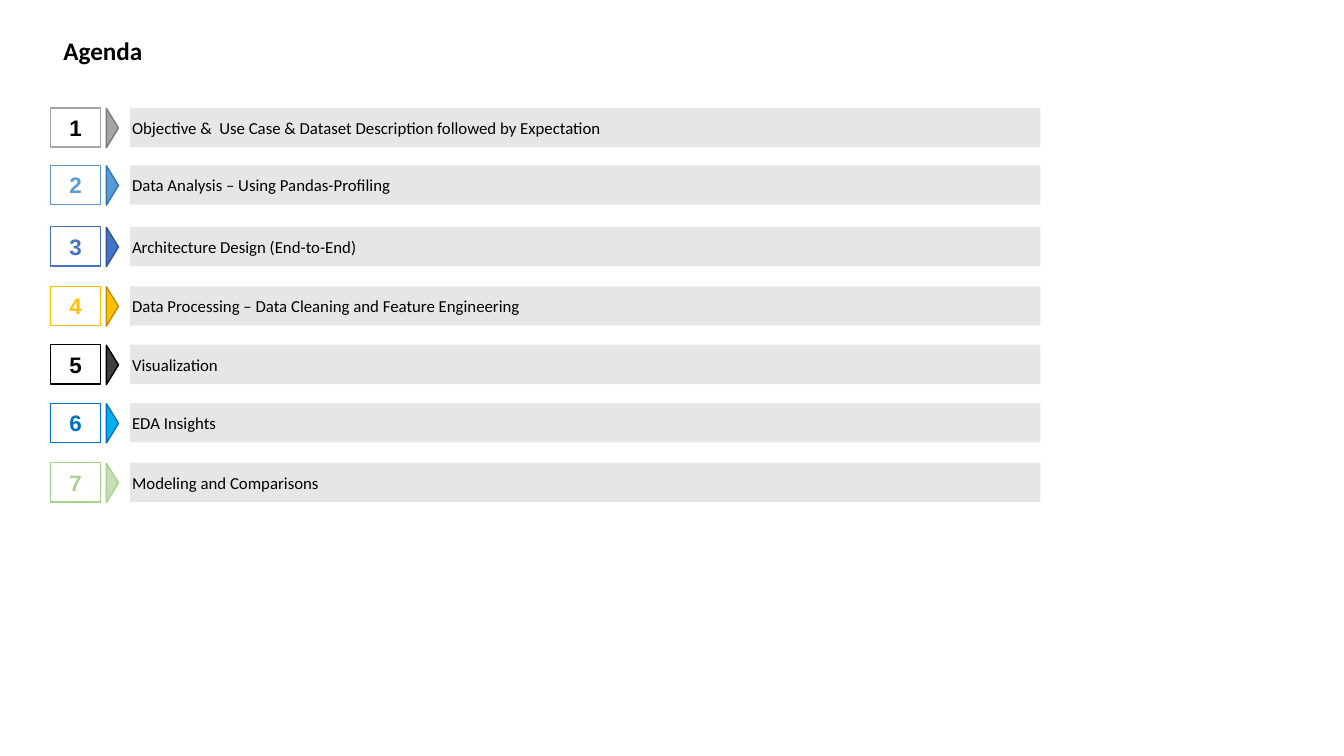
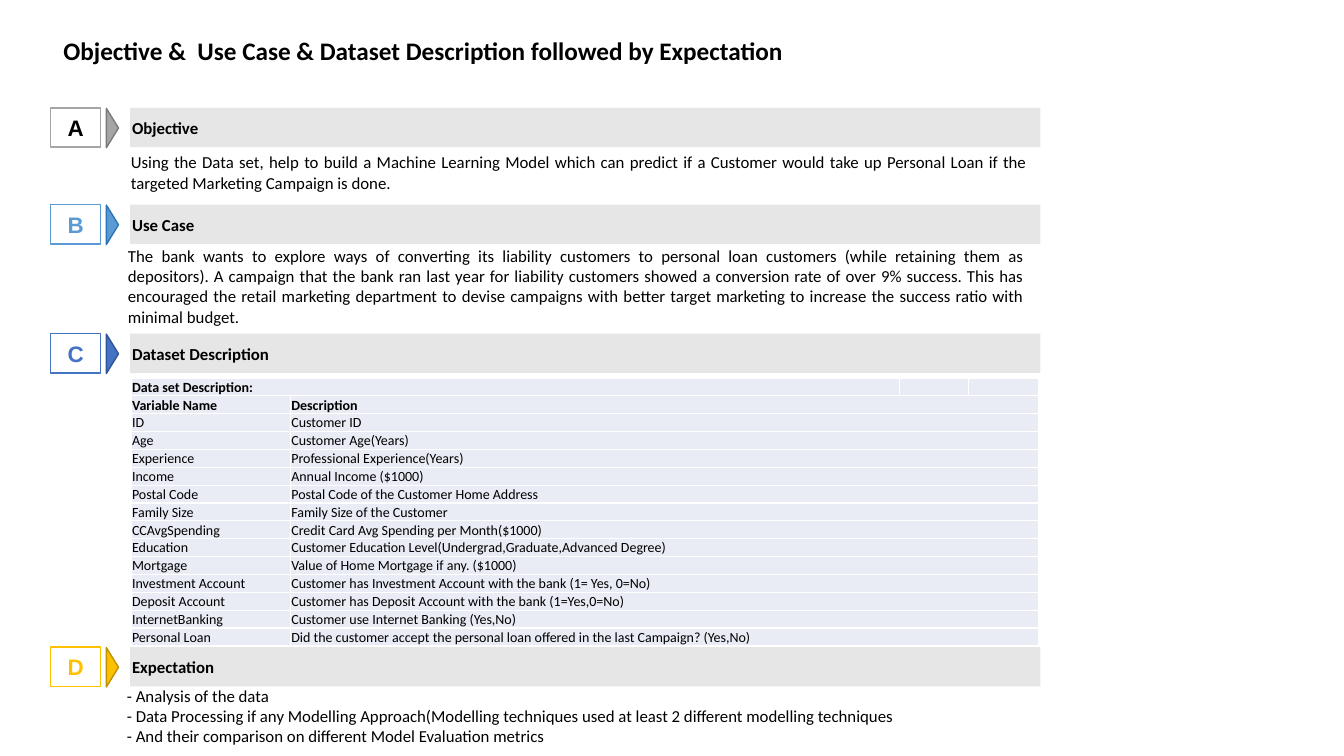
from lxml.etree import SubElement, Element
from pptx import Presentation
from pptx.dml.color import RGBColor as Rgb
from pptx.enum.shapes import MSO_SHAPE as Shp
from pptx.enum.text import MSO_ANCHOR as Anc, PP_ALIGN as Al
from pptx.oxml.ns import qn
from pptx.util import Inches, Pt

HUE = {
    "ink": "000000", "white": "FFFFFF", "bar": "E7E6E6", "cell": "E9EBF5",
    "gray": "A5A5A5", "iron": "7A7A7A", "sky": "5B9BD5", "steel": "2E75B6",
    "blue": "4472C4", "navy": "2F5597", "gold": "FFC000", "ochre": "BF9000",
    "coal": "404040", "sea": "0070C0", "aqua": "00B0F0",
    "leaf": "A9D18E", "mint": "C5E0B4",
}

# Frame, label, arrow fill, arrow edge
TONES = [
    ("gray", "ink", "gray", "iron"),
    ("sky", "sky", "sky", "steel"),
    ("blue", "blue", "blue", "navy"),
    ("gold", "gold", "gold", "ochre"),
    ("ink", "ink", "coal", "ink"),
    ("sea", "sea", "aqua", "sea"),
    ("leaf", "leaf", "mint", "leaf"),
]

TOPIC = "Objective &  Use Case & Dataset Description followed by Expectation"

AGENDA = [
    ("1", 1.07, TOPIC),
    ("2", 1.64, "Data Analysis – Using Pandas-Profiling"),
    ("3", 2.25, "Architecture Design (End-to-End)"),
    ("4", 2.84, "Data Processing – Data Cleaning and Feature Engineering"),
    ("5", 3.42, "Visualization"),
    ("6", 4, "EDA Insights"),
    ("7", 4.59, "Modeling and Comparisons"),
]

PARTS = [
    ("A", 1.07, "Objective"),
    ("B", 2.03, "Use Case"),
    ("C", 3.31, "Dataset Description"),
    ("D", 6.42, "Expectation"),
]

NOTES = [
    (1.2, 1.46, 0.5, [
        "Using the Data set, help to build a Machine Learning Model which can "
        "predict if a Customer would take up Personal Loan if the targeted "
        "Marketing Campaign is done."]),
    (1.17, 2.39, 0.91, [
        "The bank wants to explore ways of converting its liability customers "
        "to personal loan customers (while retaining them as depositors). A "
        "campaign that the bank ran last year for liability customers showed a "
        "conversion rate of over 9% success. This has encouraged the retail "
        "marketing department to devise campaigns with better target marketing "
        "to increase the success ratio with minimal budget."]),
    (1.16, 6.75, 0.71, [
        "- Analysis of the data",
        "- Data Processing if any Modelling Approach(Modelling techniques used "
        "at least 2 different modelling techniques",
        "- And their comparison on different Model Evaluation metrics"]),
]

FIELDS = [
    ("Data set Description:", ""),
    ("Variable Name", "Description"),
    ("ID", "Customer ID"),
    ("Age", "Customer Age(Years)"),
    ("Experience", "Professional Experience(Years)"),
    ("Income", "Annual Income ($1000)"),
    ("Postal Code", "Postal Code of the Customer Home Address"),
    ("Family Size", "Family Size of the Customer"),
    ("CCAvgSpending", "Credit Card Avg Spending per Month($1000)"),
    ("Education", "Customer Education Level(Undergrad,Graduate,Advanced Degree)"),
    ("Mortgage", "Value of Home Mortgage if any. ($1000)"),
    ("Investment Account",
     "Customer has Investment Account with the bank (1= Yes, 0=No)"),
    ("Deposit Account", "Customer has Deposit Account with the bank (1=Yes,0=No)"),
    ("InternetBanking", "Customer use Internet Banking (Yes,No)"),
    ("Personal Loan",
     "Did the customer accept the personal loan offered in the last Campaign? "
     "(Yes,No)"),
]
COLS = [1.58, 6.04, 0.69, 0.69]
TALL = 0.39


def tint(name):
    return Rgb.from_string(HUE[name])


def write(para, text, size, bold=False, hue="ink", face="Calibri", align=Al.LEFT):
    para.alignment = align
    run = para.add_run()
    run.text = text
    font = run.font
    font.name, font.size, font.bold = face, Pt(size), bold
    font.color.rgb = tint(hue)


def pad(item, left, top, right, low):
    item.margin_left, item.margin_top = Inches(left), Inches(top)
    item.margin_right, item.margin_bottom = Inches(right), Inches(low)


def block(slide, kind, box, fill, edge=None):
    shape = slide.shapes.add_shape(kind, *map(Inches, box))
    shape.shadow.inherit = False
    shape.fill.solid()
    shape.fill.fore_color.rgb = tint(fill)
    if edge:
        shape.line.color.rgb = tint(edge)
        shape.line.width = Pt(1)
    else:
        shape.line.fill.background()
    return shape


def label(shape, inset, text, size, **look):
    frame = shape.text_frame
    frame.word_wrap = True
    frame.vertical_anchor = Anc.MIDDLE
    pad(frame, *inset)
    write(frame.paragraphs[0], text, size, **look)


def band(slide, mark, top, text, tone, bold):
    frame, ink, fill, edge = tone
    bar = block(slide, Shp.RECTANGLE, (1.29, top, 9.03, TALL), "bar")
    label(bar, (0.02, 0.05, 0.02, 0.05), text, 12, bold=bold)
    tag = block(slide, Shp.RECTANGLE, (0.5, top, 0.5, TALL), "white", frame)
    label(tag, (0.04,) * 4, mark, 16, bold=True, hue=ink, face="Arial",
          align=Al.CENTER)
    arrow = block(slide, Shp.ISOSCELES_TRIANGLE,
                  (0.92, top + 0.14, TALL, 0.12), fill, edge)
    arrow.rotation = 90


def prose(slide, box, lines, size, **look):
    frame = slide.shapes.add_textbox(*map(Inches, box)).text_frame
    frame.word_wrap = True
    for i, line in enumerate(lines):
        para = frame.add_paragraph() if i else frame.paragraphs[0]
        write(para, line, size, **look)


def page(deck, title, rows, bold):
    slide = deck.slides.add_slide(deck.slide_layouts[6])
    for row, tone in zip(rows, TONES):
        band(slide, *row, tone, bold)
    prose(slide, (0.53, 0.3, 9.77, 0.42), [title], 18, bold=True)
    return slide


def rule(cell):
    props = cell._tc.get_or_add_tcPr()
    for i, side in enumerate(("lnL", "lnR", "lnT", "lnB")):
        line = Element(qn("a:" + side), w=str(Pt(1)))
        fill = SubElement(line, qn("a:solidFill"))
        SubElement(fill, qn("a:srgbClr"), val=HUE["white"])
        props.insert(i, line)


def grid(slide):
    high = Inches(2.6)
    table = slide.shapes.add_table(
        len(FIELDS), len(COLS), Inches(1.3), Inches(3.75),
        Inches(sum(COLS)), high).table
    table.first_row = table.horz_banding = False
    for col, width in zip(table.columns, COLS):
        col.width = Inches(width)
    for r, texts in enumerate(FIELDS):
        table.rows[r].height = high // len(FIELDS)
        for c in range(len(COLS)):
            cell = table.cell(r, c)
            cell.fill.solid()
            cell.fill.fore_color.rgb = tint("cell")
            rule(cell)
            pad(cell, 0.01, 0.01, 0.01, 0)
            cell.vertical_anchor = Anc.BOTTOM
            para = cell.text_frame.paragraphs[0]
            if c < len(texts) and texts[c]:
                write(para, texts[c], 10, bold=r < 2)
            else:
                SubElement(para._p, qn("a:endParaRPr"), sz="1000")
        first, last = (1, 3) if r else (0, 1)
        table.cell(r, first).merge(table.cell(r, last))


def main():
    deck = Presentation()
    deck.slide_width, deck.slide_height = Inches(13.33), Inches(7.5)
    page(deck, "Agenda", AGENDA, False)
    slide = page(deck, TOPIC, PARTS, True)
    for left, top, high, lines in NOTES:
        prose(slide, (left, top, 9.09, high), lines, 12, align=Al.JUSTIFY)
    grid(slide)
    deck.save("out.pptx")


if __name__ == "__main__":
    main()
